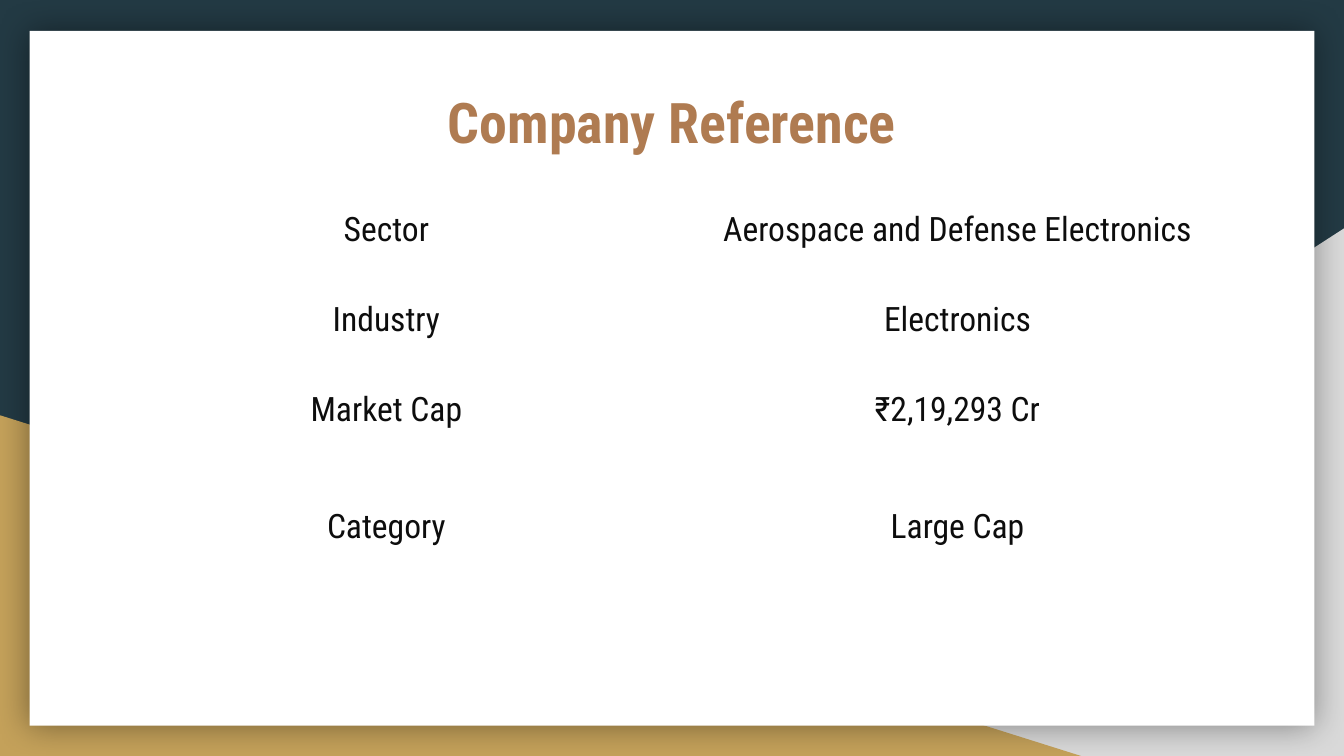
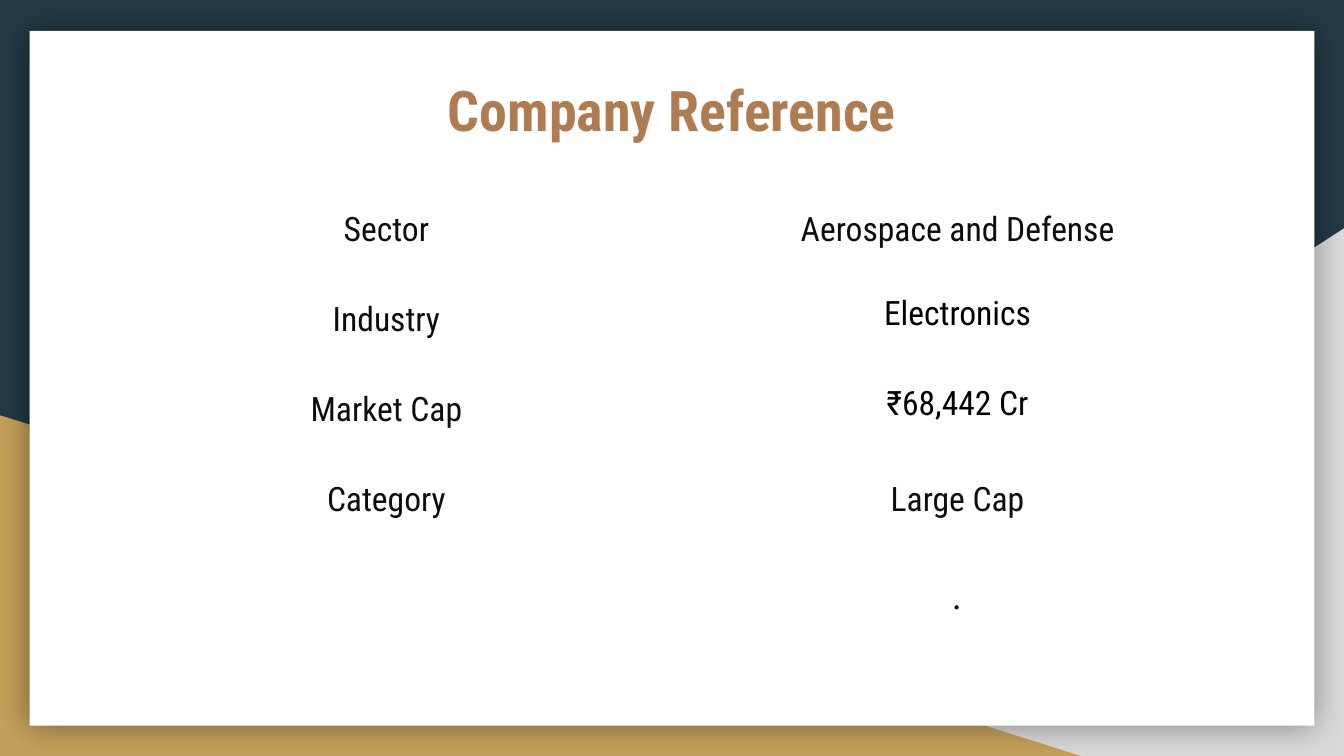
from dataclasses import dataclass

from lxml.etree import SubElement
from pptx import Presentation
from pptx.dml.color import RGBColor
from pptx.enum.shapes import MSO_SHAPE as Shape
from pptx.enum.text import MSO_ANCHOR as Anchor, PP_ALIGN as Align
from pptx.oxml.ns import qn
from pptx.util import Inches, Pt

WIDTH, HEIGHT = 10, 5.625


@dataclass(frozen=True)
class Theme:
    navy: str = "233A44"
    gold: str = "C4A15A"
    grey: str = "D9D9D9"
    paper: str = "FFFFFF"
    title: str = "AF7B51"
    ink: str = "0D0D0D"
    black: str = "000000"
    font: str = "Roboto Condensed"
    serif: str = "TeX Gyre Schola"
    title_size: int = 30
    body_size: int = 18
    border: int = 3
    glow: int = 18


THEME = Theme()
ROW, TALL_ROW = 0.67, 0.87
COLUMN = 4.25
TABLE_TOP = 1.42
PAD = Inches(0.1)

BODY = dict(font=THEME.font, size=THEME.body_size, color=THEME.ink, spacing=1.15)
TIGHT = BODY | dict(color=THEME.black, spacing=1.0)
SERIF = BODY | dict(font=THEME.serif)
HEADING = dict(font=THEME.font, size=THEME.title_size, color=THEME.title,
               bold=True, spacing=1.0)

# Each row: label, value, format of the value, row height
COMPANIES = [
    dict(title="Company Reference", title_top=0.55, facts=[
        ("Sector", "Aerospace and Defense Electronics", BODY, ROW),
        ("Industry", "Electronics", BODY, ROW),
        ("Market Cap", "₹2,19,293 Cr", BODY, TALL_ROW),
        ("Category", "Large Cap", BODY, ROW),
        ("", "", BODY, ROW),
    ]),
    dict(title="Company Reference", title_top=0.46, facts=[
        ("Sector", "Aerospace and Defense", BODY, ROW),
        ("Industry", "Electronics", TIGHT, ROW),
        ("Market Cap", "₹68,442 Cr", TIGHT, ROW),
        ("Category", "Large Cap", BODY, ROW),
        ("", ".", SERIF, ROW),
    ]),
]

# Each part: preset, left, top, width, height, colour, mirrored
BACKDROP = [
    (Shape.RIGHT_TRIANGLE, 3.92, 1.7, 6.08, 3.93, THEME.grey, True),
    (Shape.RIGHT_TRIANGLE, 0, 3.09, 8.06, 2.54, THEME.gold, False),
]
SHEET = (Shape.RECTANGLE, 0.22, 0.23, 9.56, 5.17, THEME.paper, False)


def rgb(color):
    return RGBColor.from_string(color)


def write(frame, text, style):
    """Put one centred paragraph in a text frame."""
    paragraph = frame.paragraphs[0]
    paragraph.alignment = Align.CENTER
    paragraph.line_spacing = style["spacing"]
    if not text:
        paragraph.font.size = Pt(style["size"])
        return
    run = paragraph.add_run()
    run.text = text
    formats = dict(name=style["font"], size=Pt(style["size"]),
                   bold=style.get("bold", False))
    for attribute, value in formats.items():
        setattr(run.font, attribute, value)
    run.font.color.rgb = rgb(style["color"])


def add_part(slide, preset, left, top, width, height, color, mirrored):
    part = slide.shapes.add_shape(preset, *map(Inches, (left, top, width, height)))
    part.shadow.inherit = False
    part.fill.solid()
    part.fill.fore_color.rgb = rgb(color)
    part.line.fill.background()
    if mirrored:
        part._element.spPr.find(qn("a:xfrm")).set("flipH", "1")
    return part


def add_glow(part):
    """Give a shape a soft dark shadow on all sides."""
    effects = part._element.spPr.find(qn("a:effectLst"))
    shadow = SubElement(effects, qn("a:outerShdw"), blurRad=str(Pt(THEME.glow)),
                        dist="0", dir="0", algn="ctr", rotWithShape="0")
    color = SubElement(shadow, qn("a:srgbClr"), val=THEME.black)
    SubElement(color, qn("a:alpha"), val="40000")


def add_backdrop(slide):
    slide.background.fill.solid()
    slide.background.fill.fore_color.rgb = rgb(THEME.navy)
    for part in BACKDROP:
        add_part(slide, *part)
    add_glow(add_part(slide, *SHEET))


def add_title(slide, text, top):
    width = 9.5
    frame = slide.shapes.add_textbox(
        Inches((WIDTH - width) / 2), Inches(top), Inches(width), Inches(1.04)).text_frame
    frame.word_wrap = True
    frame.vertical_anchor = Anchor.TOP
    for side in ("left", "right", "top", "bottom"):
        setattr(frame, f"margin_{side}", PAD)
    write(frame, text, HEADING)


def format_cell(cell):
    for side in ("left", "right", "top", "bottom"):
        setattr(cell, f"margin_{side}", PAD)
    cell.vertical_anchor = Anchor.TOP
    properties = cell._tc.get_or_add_tcPr()
    for edge in ("lnL", "lnR", "lnT", "lnB"):
        line = SubElement(properties, qn(f"a:{edge}"), w=str(Pt(THEME.border)))
        fill = SubElement(line, qn("a:solidFill"))
        SubElement(fill, qn("a:srgbClr"), val=THEME.paper)
    cell.fill.background()


def add_facts(slide, facts):
    width = 2 * COLUMN
    table = slide.shapes.add_table(
        len(facts), 2, Inches((WIDTH - width) / 2), Inches(TABLE_TOP),
        Inches(width), Inches(sum(fact[-1] for fact in facts))).table
    table.first_row = table.horz_banding = False
    for row, (label, value, style, height) in enumerate(facts):
        table.rows[row].height = Inches(height)
        for column, (text, look) in enumerate([(label, BODY), (value, style)]):
            cell = table.cell(row, column)
            format_cell(cell)
            write(cell.text_frame, text, look)


def main():
    deck = Presentation()
    deck.slide_width, deck.slide_height = Inches(WIDTH), Inches(HEIGHT)
    for company in COMPANIES:
        slide = deck.slides.add_slide(deck.slide_layouts[6])
        add_backdrop(slide)
        add_title(slide, company["title"], company["title_top"])
        add_facts(slide, company["facts"])
    deck.save("out.pptx")


if __name__ == "__main__":
    main()
